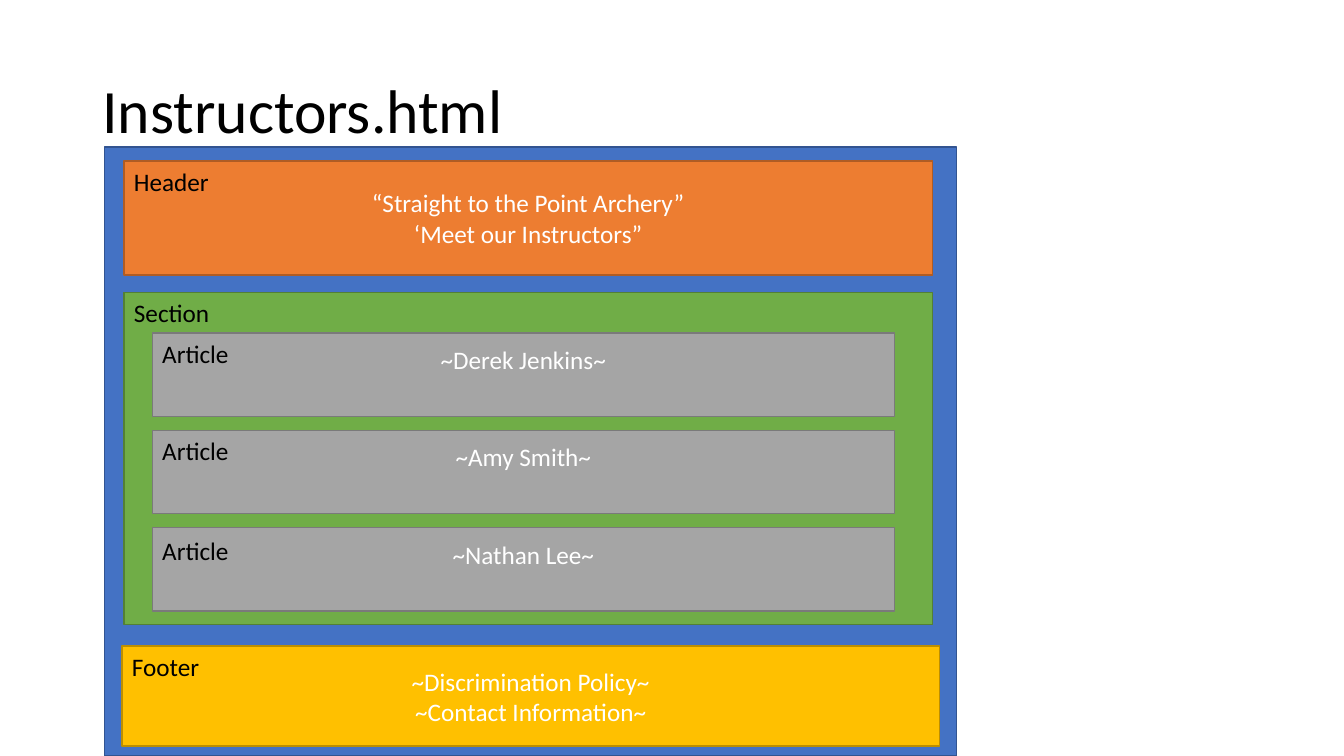
import pptx
import pptx.util
import pptx.dml.color
import pptx.enum.shapes
import pptx.enum.text

Pt = pptx.util.Pt
RGB = pptx.dml.color.RGBColor
ALIGN = pptx.enum.text.PP_ALIGN
ANCHOR = pptx.enum.text.MSO_ANCHOR
RECT = pptx.enum.shapes.MSO_SHAPE.RECTANGLE

BLACK = RGB(0x00, 0x00, 0x00)
WHITE = RGB(0xFF, 0xFF, 0xFF)
BLUE, NAVY = RGB(0x44, 0x72, 0xC4), RGB(0x32, 0x54, 0x91)
ORANGE, RUST = RGB(0xED, 0x7D, 0x31), RGB(0xAF, 0x5C, 0x24)
GREEN, MOSS = RGB(0x70, 0xAD, 0x47), RGB(0x53, 0x80, 0x35)
GOLD, BRONZE = RGB(0xFF, 0xC0, 0x00), RGB(0xBD, 0x8E, 0x00)
GRAY, SLATE = RGB(0xA5, 0xA5, 0xA5), RGB(0x7A, 0x7A, 0x7A)


def write(frame, lines, color, align, size=18):
    """Fill a text frame with one paragraph per line."""
    frame.word_wrap = True
    for i, line in enumerate(lines):
        para = frame.add_paragraph() if i else frame.paragraphs[0]
        para.alignment = align
        run = para.add_run()
        run.text = line
        run.font.name = "Calibri"
        run.font.size = Pt(size)
        run.font.color.rgb = color


def block(left, top, width, height, fill, edge, lines=(), label="", drop=0):
    """Draw a page region with centred lines and a label at its top left."""
    box = slide.shapes.add_shape(RECT, Pt(left), Pt(top), Pt(width), Pt(height))
    box.shadow.inherit = False
    box.fill.solid()
    box.fill.fore_color.rgb = fill
    box.line.color.rgb = edge
    box.line.width = Pt(1)
    box.text_frame.vertical_anchor = ANCHOR.MIDDLE
    write(box.text_frame, lines, WHITE, ALIGN.CENTER)
    if label:
        tag = slide.shapes.add_textbox(Pt(left), Pt(top + drop), Pt(108), Pt(29))
        write(tag.text_frame, [label], BLACK, ALIGN.LEFT)
    return box


deck = pptx.Presentation()
deck.slide_width, deck.slide_height = Pt(960), Pt(540)
slide = deck.slides.add_slide(deck.slide_layouts[5])

title = slide.shapes.title
title.left, title.top, title.width, title.height = Pt(66), Pt(28.8), Pt(828), Pt(104.4)
title.text_frame.vertical_anchor = ANCHOR.MIDDLE
write(title.text_frame, ["Instructors.html"], BLACK, ALIGN.LEFT, 44)
title.text_frame.paragraphs[0].line_spacing = 0.9

block(74.8, 105, 608.4, 435, BLUE, NAVY)
block(88.6, 115, 577.4, 81.4, ORANGE, RUST,
      ["“Straight to the Point Archery”", "‘Meet our Instructors”"], "Header")
block(87.1, 461.5, 584, 71.5, GOLD, BRONZE,
      ["~Discrimination Policy~", "~Contact Information~"], "Footer")
block(88.6, 208.8, 577.4, 237.2, GREEN, MOSS, label="Section")

people = [("~Derek Jenkins~", 0), ("~Amy Smith~", 0), ("~Nathan Lee~", 2)]
for i, (name, drop) in enumerate(people):
    article = block(108.8, 237.8 + i * 69.5, 530, 59.6, GRAY, SLATE,
                    [name], "Article", drop)
    article.text_frame.margin_bottom = Pt(25.4)  # lifts the name above centre

deck.save("out.pptx")
